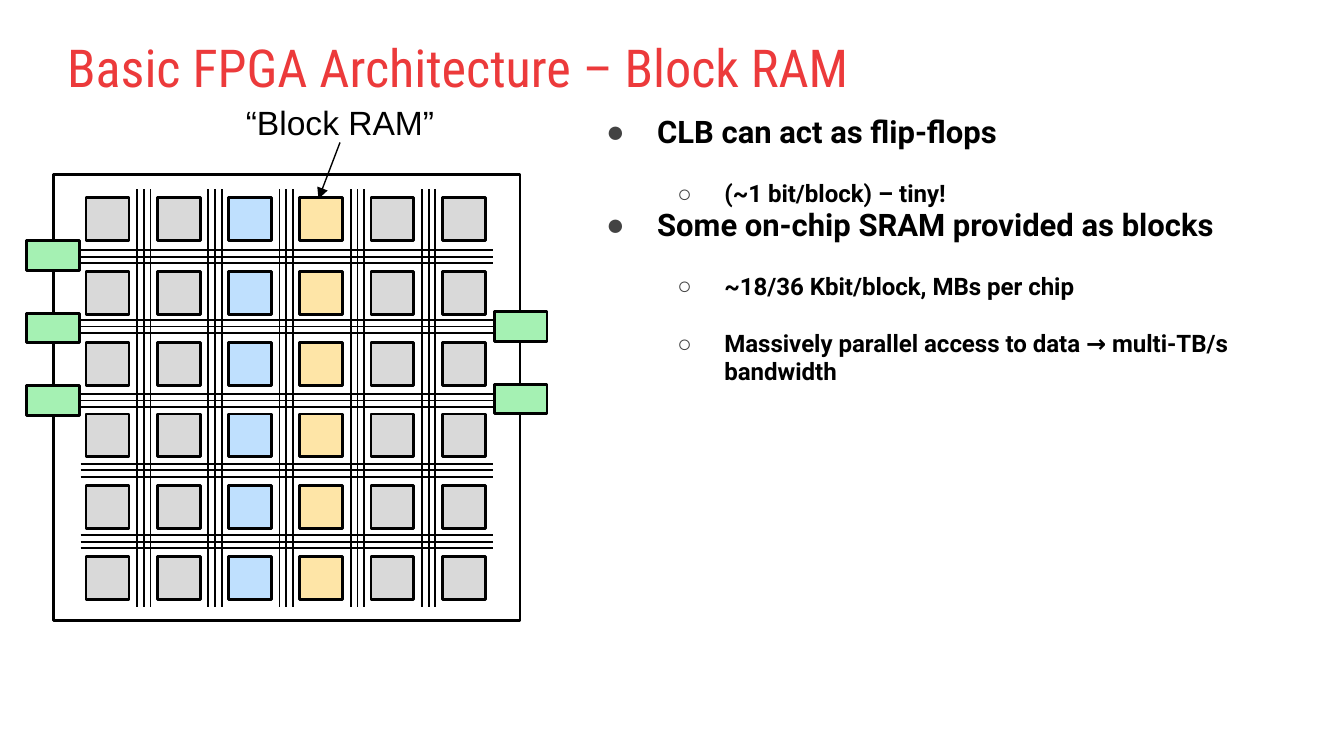
from lxml import etree
from pptx import Presentation
from pptx.dml.color import RGBColor
from pptx.enum.shapes import MSO_CONNECTOR, MSO_SHAPE
from pptx.enum.text import MSO_ANCHOR, MSO_AUTO_SIZE, PP_ALIGN
from pptx.oxml.ns import qn
from pptx.util import Pt

PX = 9144  # EMU per px, 100 px to the inch
STRAIGHT = MSO_CONNECTOR.STRAIGHT
RECTANGLE = MSO_SHAPE.RECTANGLE
LEFT, CENTER = PP_ALIGN.LEFT, PP_ALIGN.CENTER
TOP, MIDDLE = MSO_ANCHOR.TOP, MSO_ANCHOR.MIDDLE
NO_FIT, GROW = MSO_AUTO_SIZE.NONE, MSO_AUTO_SIZE.SHAPE_TO_FIT_TEXT
color = RGBColor.from_string
BLACK, GRAY, BLUE, YELLOW, GREEN = "000000", "D9D9D9", "BFE0FE", "FEE5A7", "A5F1B3"

deck = Presentation()
deck.slide_width = 1000 * PX
deck.slide_height = deck.slide_width * 9 // 16
page = deck.slides.add_slide(deck.slide_layouts[1])


def write(para, text, size, font, hue=BLACK, bold=False, align=LEFT):
    para.alignment = align
    span = para.add_run()
    span.text = text
    span.font.size = Pt(size)
    span.font.name = font
    span.font.bold = bold
    span.font.color.rgb = color(hue)


def draw_line(x1, y1, x2, y2, width=1):
    line = page.shapes.add_connector(STRAIGHT, x1 * PX, y1 * PX, x2 * PX, y2 * PX)
    line.line.color.rgb = color(BLACK)
    line.line.width = Pt(width)
    etree.SubElement(line._element.spPr, qn("a:effectLst"))
    return line


# Text boxes
title = page.shapes.title
body = page.placeholders[1]
label = page.shapes.add_textbox(0, 0, PX, PX)
for box, place, inset, anchor, fit, wrap in [
    (title, (40, 23, 845, 53), 10, MIDDLE, NO_FIT, True),
    (body, (429, 76, 522, 229), 10, TOP, NO_FIT, True),
    (label, (182, 76, 142, 30), 0, TOP, GROW, False),
]:
    box.left, box.top, box.width, box.height = [n * PX for n in place]
    frame = box.text_frame
    frame.margin_left = frame.margin_right = inset * PX
    frame.margin_top = frame.margin_bottom = inset * PX
    frame.vertical_anchor = anchor
    frame.auto_size = fit
    frame.word_wrap = wrap

write(title.text_frame.paragraphs[0], "Basic FPGA Architecture – Block RAM",
      28, "Roboto Condensed", hue="EC3A3B")
write(label.text_frame.paragraphs[0], "“Block RAM”", 18, "Arial", align=CENTER)

# Bulleted list: bullet, left margin, hanging indent, space before, text size
levels = [("●", 50, -38, 0, 16.6), ("○", 100, -35, 16, 12.9)]
points = [
    (0, "CLB can act as flip-flops"),
    (1, "(~1 bit/block) – tiny!"),
    (0, "Some on-chip SRAM provided as blocks"),
    (1, "~18/36 Kbit/block, MBs per chip"),
    (1, "Massively parallel access to data → multi-TB/s bandwidth"),
]
for index, (level, text) in enumerate(points):
    bullet, margin, indent, before, size = levels[level]
    frame = body.text_frame
    para = frame.add_paragraph() if index else frame.paragraphs[0]
    para.level = level
    para.line_spacing = 0.95
    para.space_before = Pt(before)
    props = para._p.get_or_add_pPr()
    props.set("marL", str(margin * PX))
    props.set("indent", str(indent * PX))
    bullet_color = etree.SubElement(props, qn("a:buClr"))
    etree.SubElement(bullet_color, qn("a:srgbClr"), val="434343")
    etree.SubElement(props, qn("a:buFont"), typeface="Arial")
    etree.SubElement(props, qn("a:buChar"), char=bullet)
    write(para, text, size, "Roboto", bold=True)

# Chip outline, logic and memory blocks, and I/O ports
columns = [GRAY, GRAY, BLUE, YELLOW, GRAY, GRAY]
rows = [147] + [202 + 53 * row for row in range(5)]
ports = [(20, 179), (20, 233), (20, 287), (368, 232), (368, 286)]
blocks = [(40, 130, 347, 332, "FFFFFF")]
blocks += [(64 + 53 * column, y, 32, 32, fill)
           for column, fill in enumerate(columns) for y in rows]
blocks += [(x, y, 39, 22, GREEN) for x, y in ports]
for x, y, width, height, fill in blocks:
    block = page.shapes.add_shape(RECTANGLE, x * PX, y * PX, width * PX, height * PX)
    block.shadow.inherit = False
    block.fill.solid()
    block.fill.fore_color.rgb = color(fill)
    block.line.color.rgb = color(BLACK)
    block.line.width = Pt(1.5)

# Routing channels of three wires each
for channel, channel_y in enumerate([186, 238, 293, 345, 398]):
    for wire in range(3):
        x = 102 + 53 * channel + 5 * wire
        y = channel_y + 5 * wire
        draw_line(x, 141, x, 452)
        draw_line(60, y, 367, y)

pointer = draw_line(253, 106, 237, 148, width=0.75)
etree.SubElement(pointer.line._get_or_add_ln(), qn("a:tailEnd"), type="triangle")

deck.save("out.pptx")
